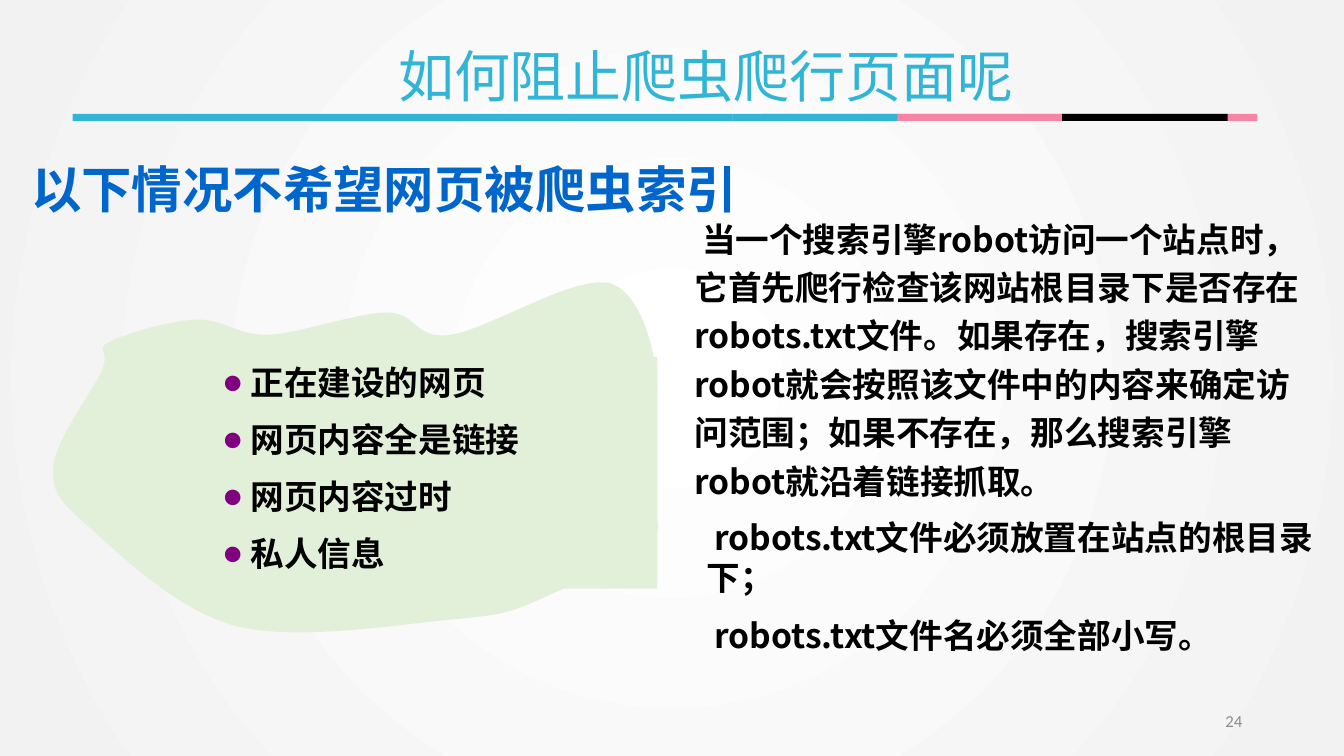
from dataclasses import dataclass

import pptx
import pptx.dml.color
import pptx.enum.shapes
import pptx.enum.text
import pptx.oxml
import pptx.oxml.ns
import pptx.util
from lxml import etree

Inches = pptx.util.Inches
Pt = pptx.util.Pt
qn = pptx.oxml.ns.qn
CJK = "Noto Sans CJK SC"
BAR_W, BAR_H, BAR_TOP = 1.64, 0.07, 1.13
BAR_STEP = 8.18 / 5
CYAN, PINK, BLACK, GREEN = "31B5D6", "F784A5", "000000", "E2F0D9"

BLOB_START = (101, 368)
BLOB_CURVES = [
    [(110, 347), (93, 347), (109, 339)],
    [(124, 331), (169, 318), (195, 317)],
    [(221, 316), (235, 333), (266, 332)],
    [(297, 331), (354, 310), (384, 310)],
    [(414, 310), (410, 337), (447, 332)],
    [(484, 327), (570, 272), (605, 281)],
    [(639, 291), (653, 361), (652, 390)],
    [(651, 418), (597, 432), (597, 455)],
    [(597, 478), (661, 504), (652, 527)],
    [(643, 550), (574, 577), (541, 592)],
    [(509, 606), (506, 609), (455, 614)],
    [(404, 618), (296, 637), (234, 621)],
    [(173, 605), (115, 546), (85, 520)],
    [(55, 493), (52, 487), (53, 462)],
    [(55, 437), (91, 389), (101, 368)],
]


@dataclass
class BarRun:
    left: float
    colors: list[str]


@dataclass
class TextBlock:
    box: tuple[float, float, float, float]
    lines: list[str]
    size: int = 24
    color: str = BLACK
    font: str = CJK
    bold: bool = True
    wrap: bool = True
    fill: str = ""
    bullet: str = ""
    outline: str = ""
    line_spacing: float = 1.0
    margin_right: float = 0.1
    align: pptx.enum.text.PP_ALIGN = pptx.enum.text.PP_ALIGN.LEFT
    anchor: pptx.enum.text.MSO_ANCHOR = pptx.enum.text.MSO_ANCHOR.TOP


BARS = [
    BarRun(7.56, [PINK] * 3),
    BarRun(0.72, [CYAN] * 5 + [PINK, BLACK]),
]
TITLE = TextBlock((3.85, 0.36, 6.37, 0.77), ["如何阻止爬虫爬行页面呢"],
                  size=40, color=CYAN, bold=False, wrap=False)
BLOCKS = [
    TextBlock((9.42, 6.95, 3, 0.4), ["24"], size=12, color="8C8C8C",
              font="Calibri", bold=False, align=pptx.enum.text.PP_ALIGN.RIGHT,
              anchor=pptx.enum.text.MSO_ANCHOR.MIDDLE),
    TextBlock((2.11, 3.54, 4.41, 2.3),
              [" 正在建设的网页", " 网页内容全是链接", " 网页内容过时", " 私人信息"],
              fill=GREEN, bullet="800080"),
    TextBlock((0.21, 1.52, 7.15, 0.5), ["以下情况不希望网页被爬虫索引"],
              size=36, color="0066CC", wrap=False, outline="99CCFF",
              margin_right=0),
    TextBlock((6.79, 2.04, 6.34, 2.94),
              [" 当一个搜索引擎robot访问一个站点时，它首先爬行检查该网站根目录下是否存在"
               "robots.txt文件。如果存在，搜索引擎robot就会按照该文件中的内容来确定访问范围；"
               "如果不存在，那么搜索引擎robot就沿着链接抓取。"], line_spacing=1.2),
    TextBlock((6.91, 5.08, 6.22, 1.51),
              [" robots.txt文件必须放置在站点的根目录下；", " robots.txt文件名必须全部小写。"]),
]


def rgb(color: str) -> pptx.dml.color.RGBColor:
    return pptx.dml.color.RGBColor.from_string(color)


def add_color(parent, color: str) -> None:
    etree.SubElement(parent, qn("a:srgbClr"), val=color)


def paint(sp, color: str) -> None:
    sp.shadow.inherit = False
    sp.fill.solid()
    sp.fill.fore_color.rgb = rgb(color)
    sp.line.fill.background()


def add_background(s) -> None:
    s.background.fill.gradient()
    grad = s.element.find(".//" + qn("a:gradFill"))
    for child in list(grad):
        grad.remove(child)
    stops = etree.SubElement(grad, qn("a:gsLst"))
    for pos, color in (("0", "FFFFFF"), ("100000", "F2F2F2")):
        add_color(etree.SubElement(stops, qn("a:gs"), pos=pos), color)
    circle = etree.SubElement(grad, qn("a:path"))
    circle.set("path", "circle")
    etree.SubElement(circle, qn("a:fillToRect"),
                     dict.fromkeys("ltrb", "50000"))


def add_bars(s, run: BarRun) -> None:
    for i, color in enumerate(run.colors):
        sp = s.shapes.add_shape(
            pptx.enum.shapes.MSO_SHAPE.RECTANGLE, Inches(run.left + i * BAR_STEP),
            Inches(BAR_TOP), Inches(BAR_W), Inches(BAR_H))
        paint(sp, color)


def add_blob(s) -> None:
    builder = s.shapes.build_freeform(*BLOB_START, scale=Inches(0.01))
    points = [point for curve in BLOB_CURVES for point in curve]
    builder.add_line_segments(points, close=True)
    sp = builder.convert_to_shape()
    paint(sp, GREEN)
    lines = list(sp.element.iter(qn("a:lnTo")))
    for i in range(0, len(BLOB_CURVES) * 3, 3):
        curve = lines[i].makeelement(qn("a:cubicBezTo"), {})
        lines[i].addprevious(curve)
        for line in lines[i:i + 3]:
            curve.append(line[0])
            line.getparent().remove(line)


def add_text(s, block: TextBlock) -> None:
    box = [Inches(v) for v in block.box]
    if block.fill:
        sp = s.shapes.add_shape(pptx.enum.shapes.MSO_SHAPE.RECTANGLE, *box)
        paint(sp, block.fill)
    else:
        sp = s.shapes.add_textbox(*box)
    tf = sp.text_frame
    tf.word_wrap = block.wrap
    tf.vertical_anchor = block.anchor
    tf.margin_right = Inches(block.margin_right)
    for i, line in enumerate(block.lines):
        p = tf.paragraphs[0] if i == 0 else tf.add_paragraph()
        p.alignment = block.align
        p.line_spacing = block.line_spacing
        p.space_before = Pt(block.size / 2 if i else 0)
        if block.bullet:
            props = p._p.get_or_add_pPr()
            add_color(etree.SubElement(props, qn("a:buClr")), block.bullet)
            etree.SubElement(props, qn("a:buFont"), typeface="Calibri")
            etree.SubElement(props, qn("a:buChar"), char="●")
        r = p.add_run()
        r.text = line
        r.font.size = Pt(block.size)
        r.font.bold = block.bold
        r.font.name = block.font
        r.font.color.rgb = rgb(block.color)
        props = r._r.get_or_add_rPr()
        props.find(qn("a:latin")).addnext(
            props.makeelement(qn("a:ea"), {"typeface": block.font}))
        if block.outline:
            ln = props.makeelement(qn("a:ln"), {"w": str(Pt(1.5))})
            add_color(etree.SubElement(ln, qn("a:solidFill")), block.outline)
            props.insert(0, ln)


def main() -> None:
    prs = pptx.Presentation()
    prs.slide_width, prs.slide_height = Inches(13.33), Inches(7.5)
    s = prs.slides.add_slide(prs.slide_layouts[6])
    add_background(s)
    add_bars(s, BARS[0])
    add_text(s, TITLE)
    add_bars(s, BARS[1])
    add_blob(s)
    for block in BLOCKS:
        add_text(s, block)
    prs.save("out.pptx")


if __name__ == "__main__":
    main()
